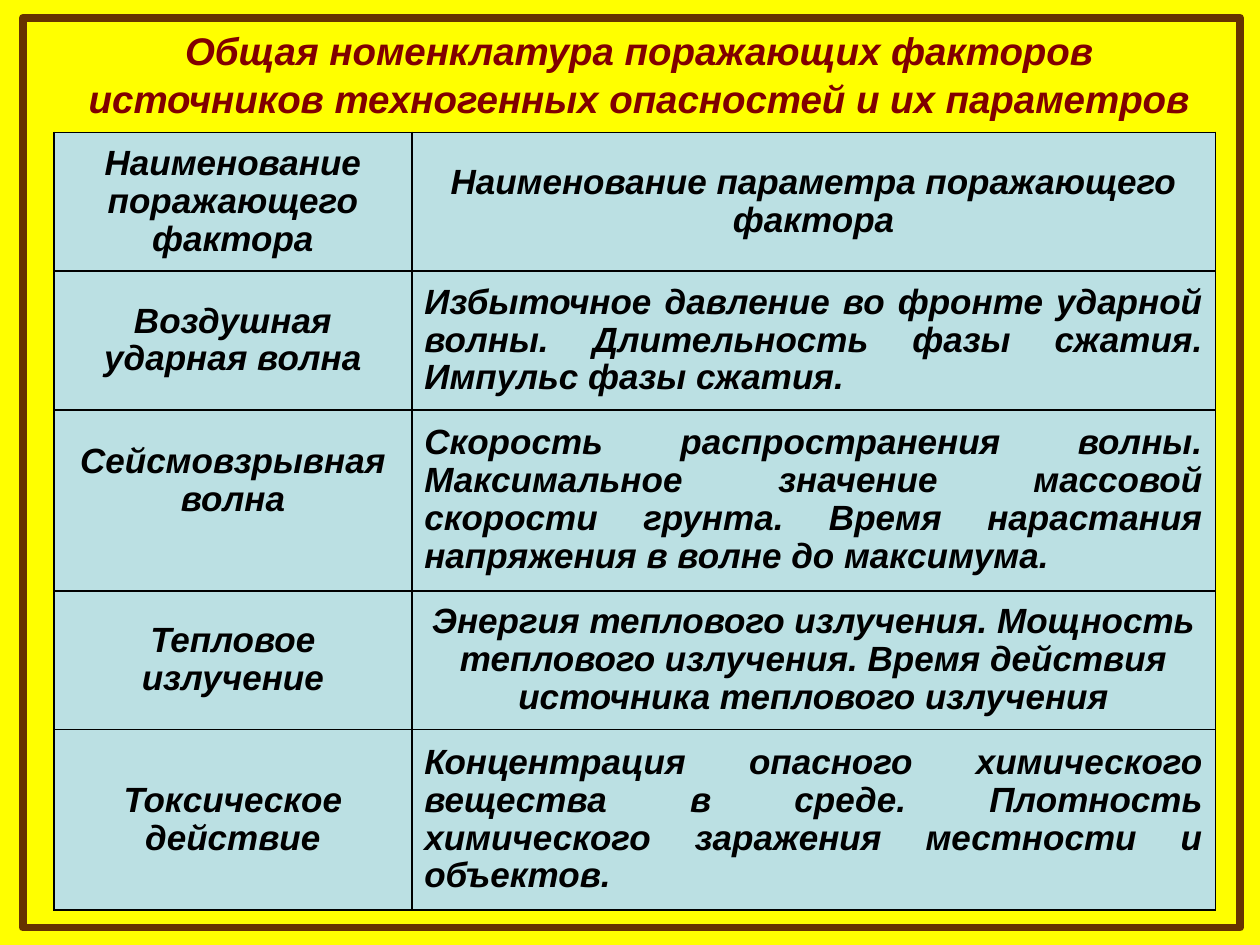
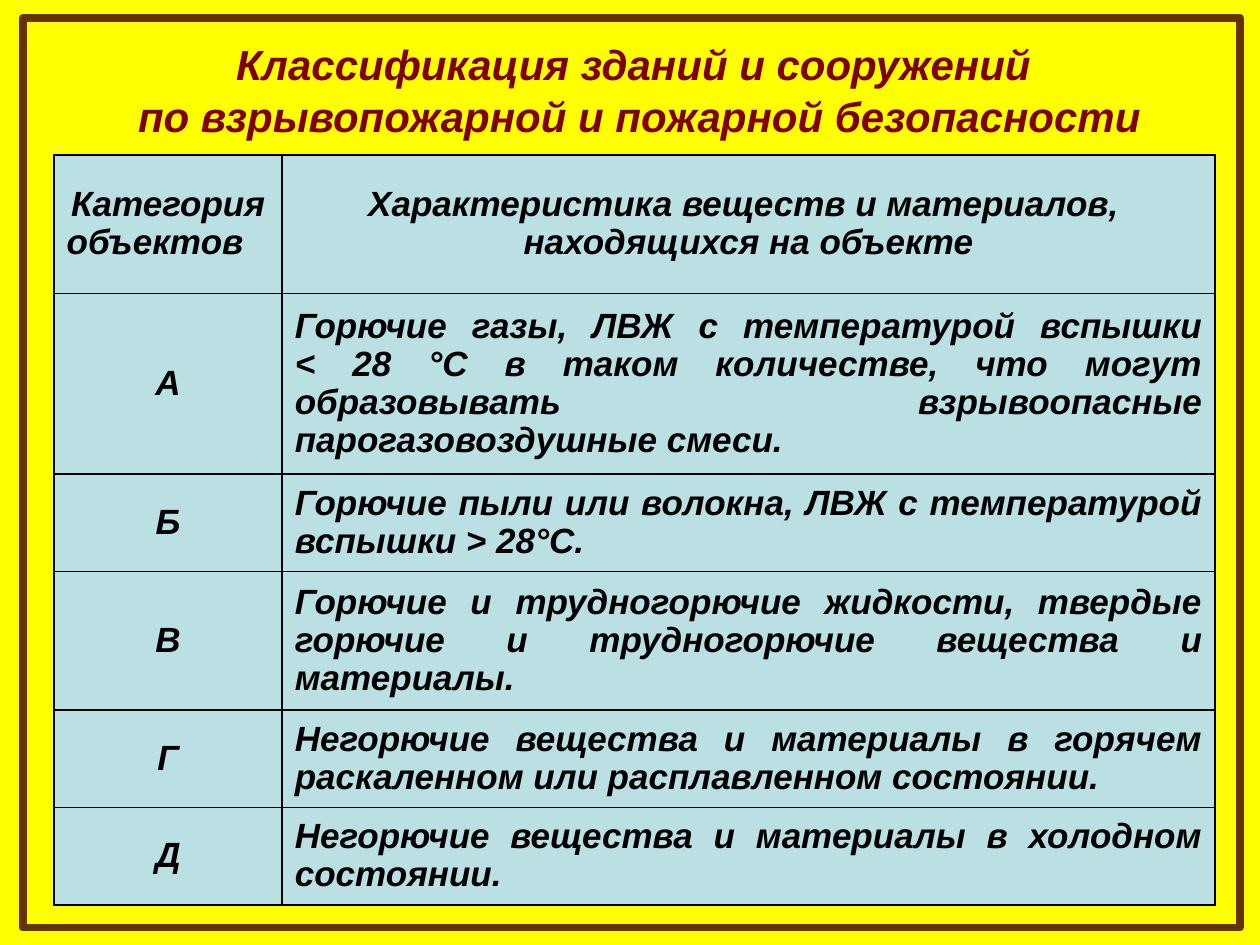
"""Build two slides on technogenic hazards, each a framed title and table."""
from dataclasses import dataclass

from lxml import etree
from pptx import Presentation
from pptx import util as u
from pptx.dml.color import RGBColor
from pptx.enum import shapes, text
from pptx.oxml import ns

CENTER, JUSTIFY, LEFT = text.PP_ALIGN.CENTER, text.PP_ALIGN.JUSTIFY, text.PP_ALIGN.LEFT

PAGES = [
    {
        "title": ["Общая номенклатура поражающих факторов источников техногенных опасностей и их параметров"],
        "title_size": 22, "title_top": 0.41, "title_height": 2.13,
        "table_top": 2.67, "columns": [7.21, 16.2], "lines": [3, 3, 4, 3, 4],
        "rows": [
            ("Наименование поражающего фактора", "Наименование параметра поражающего фактора"),
            ("Воздушная ударная волна",
             "Избыточное давление во фронте ударной волны. Длительность фазы сжатия. Импульс фазы сжатия."),
            ("Сейсмовзрывная волна",
             "Скорость распространения волны. Максимальное значение массовой скорости грунта. "
             "Время нарастания напряжения в волне до максимума."),
            ("Тепловое излучение",
             "Энергия теплового излучения. Мощность теплового излучения. "
             "Время действия источника теплового излучения"),
            ("Токсическое действие",
             "Концентрация опасного химического вещества в среде. "
             "Плотность химического заражения местности и объектов."),
        ],
        "aligns": {(3, 1): [CENTER]},
        "bottom_margins": {(2, 0): 0.91},
    },
    {
        "title": ["Классификация зданий и сооружений ", "по взрывопожарной и пожарной безопасности"],
        "title_size": 24, "title_top": 0.64, "title_height": 2.29,
        "table_top": 3.12, "columns": [4.6, 18.8], "lines": [3, 4, 2, 3, 2, 2],
        "rows": [
            ("Категория\nобъектов", "Характеристика веществ и материалов, \nнаходящихся на объекте"),
            ("А", "Горючие газы, ЛВЖ с температурой вспышки\v< 28 °С в таком количестве, "
                  "что могут образовывать взрывоопасные парогазовоздушные смеси."),
            ("Б", "Горючие пыли или волокна, ЛВЖ с температурой вспышки > 28°С."),
            ("В", "Горючие и трудногорючие жидкости, твердые горючие и трудногорючие вещества и материалы."),
            ("Г", "Негорючие вещества и материалы в горячем раскаленном или расплавленном состоянии."),
            ("Д", "Негорючие вещества и материалы в холодном состоянии."),
        ],
        "aligns": {(0, 0): [CENTER, LEFT]},
        "bottom_margins": {},
    },
]


@dataclass(frozen=True)
class Theme:
    background: str = "FFFF00"
    frame: str = "663300"
    title: str = "800000"
    cell: str = "BBE0E3"
    ink: str = "000000"
    font: str = "Arial"
    table_size: int = 20
    frame_width: float = 4.5
    border_width: float = 1.08
    title_spacing: float = 1.05
    table_spacing: float = 0.97


THEME = Theme()
LEFT_EDGE = 1.09
LINE_HEIGHT, ROW_PADDING = 0.84, 0.28


def apply(target, values):
    for name, value in values.items():
        setattr(target, name, value)


def write(frame, lines, aligns, size, colour, spacing):
    for index, line in enumerate(lines):
        para = frame.paragraphs[0] if index == 0 else frame.add_paragraph()
        apply(para, {"text": line, "alignment": aligns[min(index, len(aligns) - 1)],
                     "line_spacing": spacing})
        for span in para.runs:
            apply(span.font, {"size": u.Pt(size), "name": THEME.font, "bold": True, "italic": True})
            span.font.color.rgb = RGBColor.from_string(colour)


def add_child(parent, tag, **attributes):
    return etree.SubElement(parent, ns.qn(tag), attributes)


def add_text_shadow(span):
    effects = etree.Element(ns.qn("a:effectLst"))
    shadow = add_child(effects, "a:outerShdw", dist="25400", dir="2700000", algn="tl")
    add_child(shadow, "a:srgbClr", val=THEME.ink)
    span.font.fill._xPr.find(ns.qn("a:solidFill")).addnext(effects)


def add_borders(cell):
    properties = cell._tc.get_or_add_tcPr()
    for index, side in enumerate(("L", "R", "T", "B")):
        line = etree.Element(ns.qn(f"a:ln{side}"), w=str(u.Pt(THEME.border_width)))
        add_child(add_child(line, "a:solidFill"), "a:srgbClr", val=THEME.ink)
        properties.insert(index, line)


def add_frame(page):
    box = page.shapes.add_shape(shapes.MSO_SHAPE.RECTANGLE,
                                u.Cm(0.46), u.Cm(0.36), u.Cm(24.54), u.Cm(18.34))
    box.shadow.inherit = False
    box.fill.background()
    box.line.color.rgb = RGBColor.from_string(THEME.frame)
    box.line.width = u.Pt(THEME.frame_width)


def add_table(page, content):
    heights = [ROW_PADDING + LINE_HEIGHT * count for count in content["lines"]]
    widths = content["columns"]
    table = page.shapes.add_table(len(heights), len(widths), u.Cm(LEFT_EDGE), u.Cm(content["table_top"]),
                                  u.Cm(sum(widths)), u.Cm(sum(heights))).table
    apply(table, {"first_row": False, "horz_banding": False})
    for column, width in zip(table.columns, widths):
        column.width = u.Cm(width)
    for row_index, (row, height) in enumerate(zip(table.rows, heights)):
        row.height = u.Cm(height)
        for column_index, cell in enumerate(row.cells):
            place = row_index, column_index
            usual = CENTER if row_index == 0 or column_index == 0 else JUSTIFY
            cell.vertical_anchor = text.MSO_ANCHOR.MIDDLE
            cell.margin_bottom = u.Cm(content["bottom_margins"].get(place, 0.13))
            cell.fill.solid()
            cell.fill.fore_color.rgb = RGBColor.from_string(THEME.cell)
            add_borders(cell)
            write(cell.text_frame, content["rows"][row_index][column_index].split("\n"),
                  content["aligns"].get(place, [usual]), THEME.table_size, THEME.ink, THEME.table_spacing)


def add_title(page, content):
    box = page.shapes.add_textbox(u.Cm(LEFT_EDGE), u.Cm(content["title_top"]),
                                  u.Cm(23.6), u.Cm(content["title_height"]))
    frame = box.text_frame
    apply(frame, {"word_wrap": True, "vertical_anchor": text.MSO_ANCHOR.MIDDLE})
    write(frame, content["title"], [CENTER], content["title_size"], THEME.title, THEME.title_spacing)
    for para in frame.paragraphs:
        for span in para.runs:
            add_text_shadow(span)


def main():
    deck = Presentation()
    apply(deck, {"slide_width": u.Cm(25.4), "slide_height": u.Cm(19.05)})
    for content in PAGES:
        page = deck.slides.add_slide(deck.slide_layouts[6])
        page.background.fill.solid()
        page.background.fill.fore_color.rgb = RGBColor.from_string(THEME.background)
        add_frame(page)
        add_table(page, content)
        add_title(page, content)
    deck.save("out.pptx")


if __name__ == "__main__":
    main()
